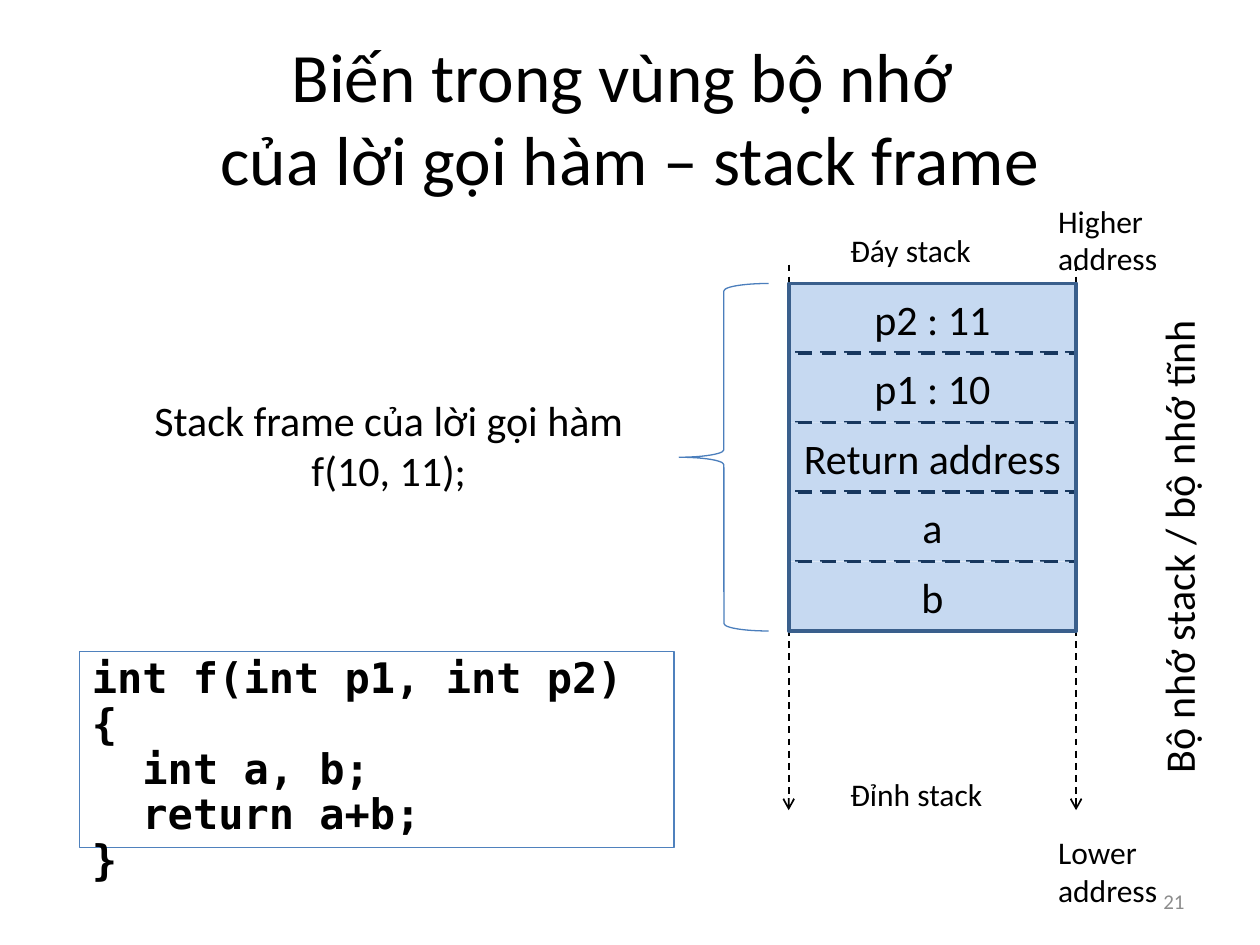
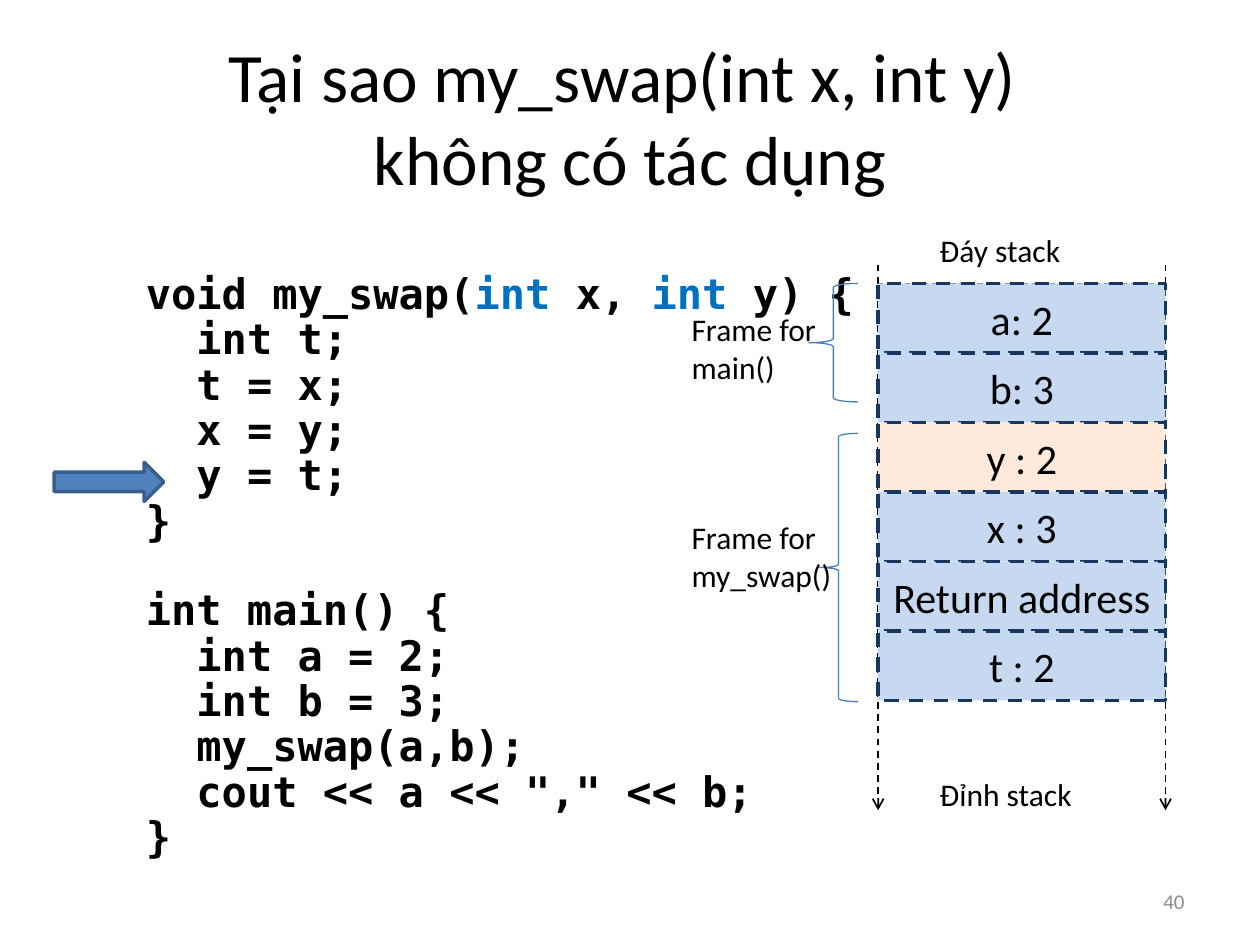
"""Builds two slides on function-call stack frames."""
import lxml.etree
import pptx
import pptx.dml.color
import pptx.enum.dml
import pptx.enum.shapes
import pptx.enum.text
import pptx.oxml.ns
import pptx.util

Pt = pptx.util.Pt
RGB = pptx.dml.color.RGBColor
SHAPE = pptx.enum.shapes.MSO_SHAPE
ALIGN = pptx.enum.text.PP_ALIGN
ANCHOR = pptx.enum.text.MSO_ANCHOR
DASH = pptx.enum.dml.MSO_LINE.DASH

BLACK = RGB(0x00, 0x00, 0x00)
GREY = RGB(0x8C, 0x8C, 0x8C)
KEYWORD = RGB(0x00, 0x70, 0xC0)
ACCENT = RGB(0x4F, 0x81, 0xBD)
THIN_BLUE = RGB(0x4B, 0x7E, 0xBC)
EDGE = RGB(0x3A, 0x5F, 0x8C)
NAVY = RGB(0x17, 0x37, 0x5E)
CELL = RGB(0xC6, 0xD9, 0xF1)
CHANGED = RGB(0xFD, 0xEA, 0xDA)

SANS, MONO = "Calibri", "DejaVu Sans Mono"
CODE_STYLE = dict(font=MONO, size=24, bold=True, spacing=0.9)
CODE_CHAR, CODE_LINE = 14.45, 25.3

STACK_TOP, STACK_WIDTH, ROW_HEIGHT = 162, 164.2, 39.72
RAIL_TOP, RAIL_BOTTOM = 151.2, 463

FRAME_TITLE = ["Biến trong vùng bộ nhớ ", "của lời gọi hàm – stack frame"]
FRAME_CELLS = [("p2 : 11", CELL), ("p1 : 10", CELL), ("Return address", CELL),
               ("a", CELL), ("b", CELL)]
FRAME_CODE = ["int f(int p1, int p2) {", "  int a, b;", "  return a+b;", "}"]
ADDRESS_LABELS = [("Higher address", 111.6), ("Lower address", 472.3)]

SWAP_TITLE = ["Tại sao my_swap(int x, int y) ", "không có tác dụng"]
SWAP_CELLS = [("a: 2", CELL), ("b: 3", CELL), ("y : 2", CHANGED), ("x : 3", CELL),
              ("Return address", CELL), ("t : 2", CELL)]
SWAP_CODE = [
    [("void my_swap(", BLACK), ("int ", KEYWORD), ("x, ", BLACK),
     ("int ", KEYWORD), ("y) {", BLACK)],
    "  int t;", "  t = x;", "  x = y;", "  y = t;", "}",
]
MAIN_CODE = ["int main() {", "  int a = 2;", "  int b = 3;", "  my_swap(a,b);",
             '  cout << a << "," << b;', "}"]
SWAP_FRAMES = [
    ("Frame for main()", 173.5, (462.2, 162, 28.1, 67.7)),
    ("Frame for my_swap()", 292.3, (468, 247.7, 22.3, 153.3)),
]


def write(tf, lines, size=18, font=SANS, color=BLACK, bold=None, align=ALIGN.LEFT,
          anchor=ANCHOR.TOP, spacing=None):
    """Fill a text frame with lines, each a string or a list of (text, colour) runs."""
    tf.word_wrap = True
    tf.vertical_anchor = anchor
    for i, line in enumerate(lines):
        p = tf.paragraphs[0] if i == 0 else tf.add_paragraph()
        p.alignment = align
        if spacing:
            p.line_spacing = spacing
        if isinstance(line, str):
            indent = len(line) - len(line.lstrip())
            if indent:
                p._p.get_or_add_pPr().set("marL", str(Pt(indent * CODE_CHAR)))
            line = [(line.lstrip(), color)]
        for text, run_color in line:
            r = p.add_run()
            r.text = text
            r.font.name, r.font.size, r.font.bold = font, Pt(size), bold
            r.font.color.rgb = run_color


def add_text(s, lines, box, rotation=0, **style):
    """Add a text box."""
    sp = s.shapes.add_textbox(*map(Pt, box))
    sp.rotation = rotation
    write(sp.text_frame, lines, **style)
    return sp


def add_shape(s, kind, box, line, width=0.75, fill=None, dash=None):
    """Add a preset shape with a plain line and an optional fill."""
    sp = s.shapes.add_shape(kind, *map(Pt, box))
    sp.shadow.inherit = False
    if fill is None:
        sp.fill.background()
    else:
        sp.fill.solid()
        sp.fill.fore_color.rgb = fill
    sp.line.color.rgb, sp.line.width = line, Pt(width)
    if dash:
        sp.line.dash_style = dash
    return sp


def add_line(s, x1, y1, x2, y2, color, width, arrow=False):
    """Add a dashed straight line, with an open arrowhead if asked."""
    cx = s.shapes.add_connector(pptx.enum.shapes.MSO_CONNECTOR.STRAIGHT,
                                *map(Pt, (x1, y1, x2, y2)))
    cx.line.color.rgb, cx.line.width, cx.line.dash_style = color, Pt(width), DASH
    if arrow:
        lxml.etree.SubElement(cx.line._get_or_add_ln(), pptx.oxml.ns.qn("a:tailEnd"),
                              type="arrow")
    lxml.etree.SubElement(cx._element.spPr, pptx.oxml.ns.qn("a:effectLst"))


def add_stack(s, left, cells):
    """Draw the stack's rails, its cells and the labels of its two ends."""
    right = left + STACK_WIDTH
    for x in (left, right):
        add_line(s, x, RAIL_TOP, x, RAIL_BOTTOM, BLACK, 1, arrow=True)
    add_line(s, left, STACK_TOP, right, STACK_TOP, THIN_BLUE, 0.75)
    for i, (text, fill) in enumerate(cells):
        box = (left, STACK_TOP + i * ROW_HEIGHT, STACK_WIDTH, ROW_HEIGHT)
        sp = add_shape(s, SHAPE.RECTANGLE, box, NAVY, 2, fill, DASH)
        write(sp.text_frame, [text], size=24, align=ALIGN.CENTER, anchor=ANCHOR.MIDDLE)
    for text, top in (("Đáy stack", 128.2), ("Đỉnh stack", 439.2)):
        add_text(s, [text], (left + 28.1, top, 92, 29))


def add_slide(prs, title, number):
    """Add a slide with its two-line title and its number."""
    s = prs.slides.add_slide(prs.slide_layouts[5])
    sp = s.shapes.title
    sp.left, sp.top, sp.width, sp.height = map(Pt, (36, 21.6, 648, 90))
    write(sp.text_frame, title[:1], size=39.6, align=ALIGN.CENTER, anchor=ANCHOR.MIDDLE)
    p = sp.text_frame.paragraphs[0]
    p.add_line_break()
    r = p.add_run()
    r.text = title[1]
    r.font.name, r.font.size, r.font.color.rgb = SANS, Pt(39.6), BLACK
    add_text(s, [number], (516, 500.5, 168, 28.8), size=12, color=GREY,
             align=ALIGN.RIGHT, anchor=ANCHOR.MIDDLE)
    return s


def build_frame_slide(prs):
    """Show the stack frame of one call."""
    s = add_slide(prs, FRAME_TITLE, "21")
    sp = add_shape(s, SHAPE.RECTANGLE, (45.4, 372.2, 339.8, 112.3), ACCENT)
    write(sp.text_frame, FRAME_CODE, **CODE_STYLE)
    for text, top in ADDRESS_LABELS:
        add_text(s, [text], (597.6, top, 93.6, 51))
    add_text(s, ["Stack frame của lời gọi hàm f(10, 11);"], (56.2, 221.8, 332, 65.5),
             size=24, align=ALIGN.CENTER)
    left, height = 450.7, len(FRAME_CELLS) * ROW_HEIGHT
    add_stack(s, left, FRAME_CELLS)
    add_shape(s, SHAPE.LEFT_BRACE, (388.1, STACK_TOP, 51.1, height), THIN_BLUE)
    add_shape(s, SHAPE.RECTANGLE, (left, STACK_TOP, STACK_WIDTH, height), EDGE, 2)
    add_text(s, ["Bộ nhớ stack / bộ nhớ tĩnh"], (531.4, 294.5, 283.7, 36), rotation=270,
             size=24, align=ALIGN.CENTER)


def build_swap_slide(prs):
    """Show why swapping by value has no effect."""
    s = add_slide(prs, SWAP_TITLE, "40")
    sp = add_text(s, SWAP_CODE + MAIN_CODE, (76.3, 152.6, 453.6, 347.8), **CODE_STYLE)
    sp.text_frame.paragraphs[len(SWAP_CODE)].space_before = Pt(CODE_LINE)
    add_stack(s, 501.8, SWAP_CELLS)
    for text, top, brace in SWAP_FRAMES:
        add_shape(s, SHAPE.LEFT_BRACE, brace, THIN_BLUE)
        add_text(s, [text], (388.1, top, 102.2, 51))
    add_shape(s, SHAPE.RIGHT_ARROW, (31, 264.2, 62.6, 22.3), EDGE, 2, ACCENT)


def main():
    """Build and save the presentation."""
    prs = pptx.Presentation()
    prs.slide_width, prs.slide_height = Pt(720), Pt(540)
    build_frame_slide(prs)
    build_swap_slide(prs)
    prs.save("out.pptx")


if __name__ == "__main__":
    main()
